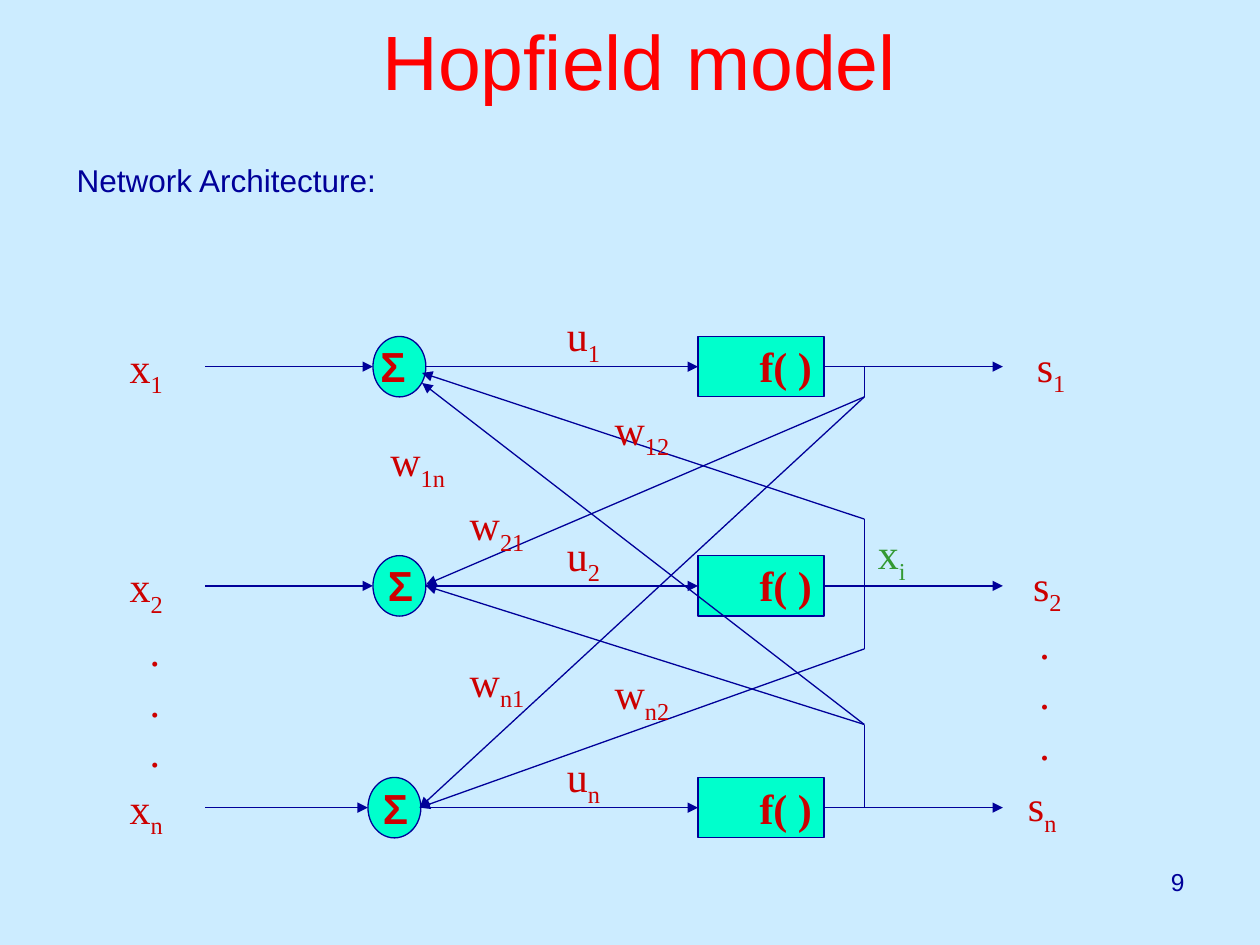
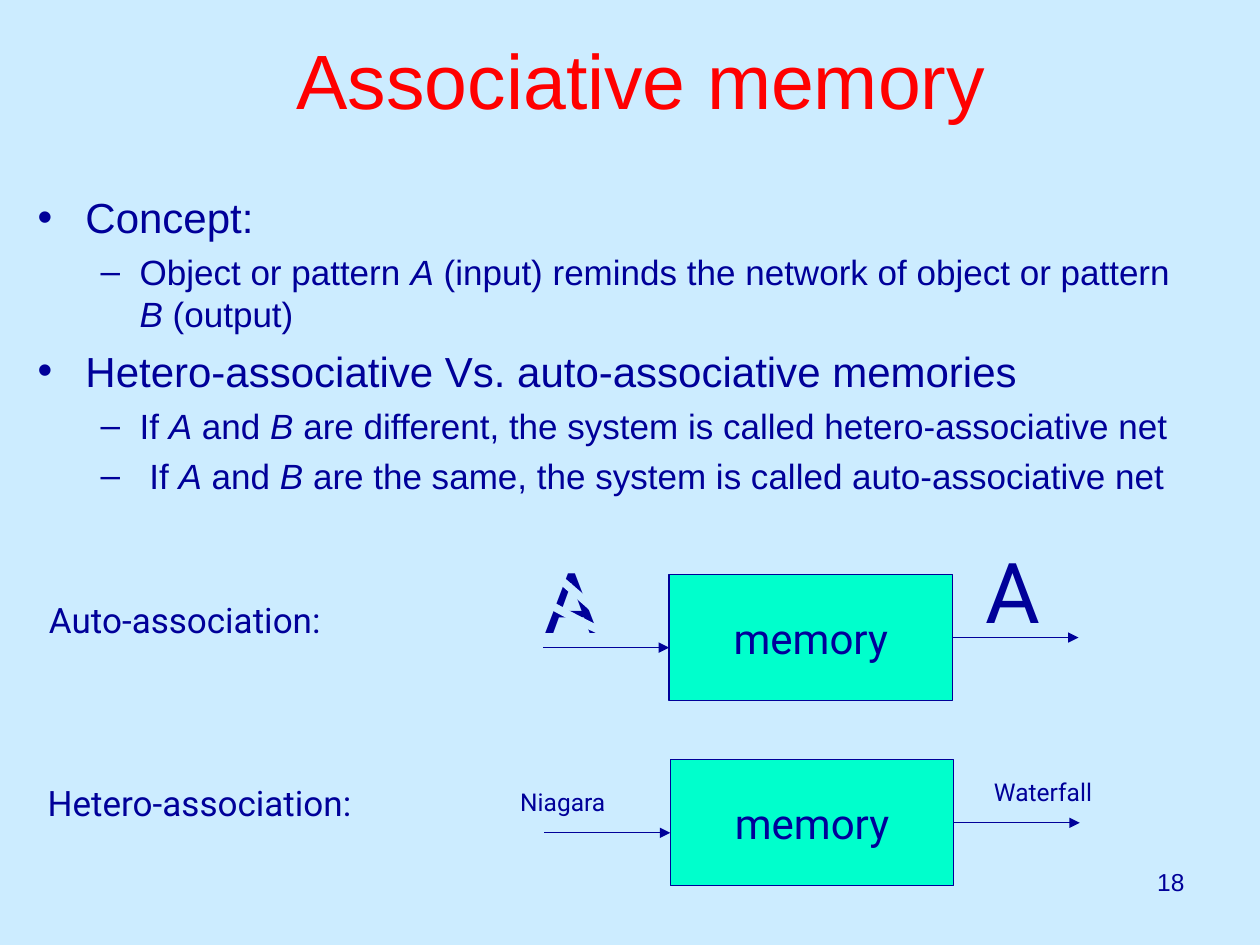
from dataclasses import dataclass

from lxml import etree
from pptx import Presentation
from pptx.dml.color import RGBColor as Rgb
from pptx.enum.shapes import MSO_CONNECTOR as Link, MSO_SHAPE as Kind
from pptx.enum.text import MSO_ANCHOR as Anchor, MSO_AUTO_SIZE as Fit, PP_ALIGN as Align
from pptx.oxml.ns import qn
from pptx.util import Inches, Pt


@dataclass(frozen=True)
class Theme:
    back: str = "CCECFF"
    ink: str = "000099"
    head: str = "FF0000"
    fill: str = "00FFCC"
    mark: str = "CC0000"
    hint: str = "339933"
    sans: str = "Arial"
    serif: str = "Times New Roman"
    round: str = "Roboto"
    title: int = 44
    huge: int = 48
    large: int = 24
    mid: int = 20
    text: int = 18
    small: int = 14
    line: float = 0.75


def color(code):
    return Rgb.from_string(code)


class Deck:
    def __init__(self, theme):
        self.theme = theme
        self.prs = Presentation()
        self.prs.slide_width, self.prs.slide_height = Inches(10), Inches(7.5)
        self.slide = None

    def page(self, title, number, box, anchor):
        """Start a slide with background, title and page number."""
        t = self.theme
        self.slide = self.prs.slides.add_slide(self.prs.slide_layouts[6])
        fill = self.slide.background.fill
        fill.solid()
        fill.fore_color.rgb = color(t.back)
        self.label(title, *box, size=t.title, tint=t.head, align=Align.CENTER,
                   anchor=anchor, wrap=True)
        self.label(number, 7.17, 6.83, 2.33, 0.52, size=t.small,
                   align=Align.RIGHT, wrap=True)

    def runs(self, para, text, size, tint=None, face=None, bold=None, sub=True):
        """Split text at bars; every second piece is a subscript or italic."""
        t = self.theme
        for i, part in enumerate(text.split("|")):
            if not part:
                continue
            run = para.add_run()
            run.text = part
            font = run.font
            font.size, font.name, font.bold = Pt(size), face or t.sans, bold
            font.color.rgb = color(tint or t.ink)
            if i % 2 and sub:
                run._r.get_or_add_rPr().set("baseline", "-25000")
            elif i % 2:
                font.italic = True

    def frame(self, shape, wrap, anchor):
        frame = shape.text_frame
        frame.word_wrap = wrap
        frame.vertical_anchor = anchor
        return frame

    def label(self, text, x, y, w, h, size, align=Align.LEFT,
              anchor=Anchor.TOP, wrap=False, **style):
        box = self.slide.shapes.add_textbox(Inches(x), Inches(y), Inches(w), Inches(h))
        frame = self.frame(box, wrap, anchor)
        frame.auto_size = Fit.NONE if wrap else Fit.SHAPE_TO_FIT_TEXT
        for i, row in enumerate(text.split("\n")):
            para = frame.add_paragraph() if i else frame.paragraphs[0]
            para.alignment = align
            self.runs(para, row, size, **style)

    def bullets(self, items, x, y, w, h):
        t = self.theme
        # size, space before, left margin, hang and sign of each level
        levels = ((t.large, 6, 0.38, 0.38, "•"), (t.mid, 5, 0.81, 0.31, "–"))
        box = self.slide.shapes.add_textbox(Inches(x), Inches(y), Inches(w), Inches(h))
        frame = self.frame(box, True, Anchor.TOP)
        for i, (level, text) in enumerate(items):
            size, gap, left, hang, sign = levels[level]
            para = frame.add_paragraph() if i else frame.paragraphs[0]
            para.level, para.space_before = level, Pt(gap)
            props = para._p.get_or_add_pPr()
            props.set("marL", str(Inches(left)))
            props.set("indent", str(-Inches(hang)))
            tone = etree.SubElement(props, qn("a:buClr"))
            etree.SubElement(tone, qn("a:srgbClr"), val=t.ink)
            etree.SubElement(props, qn("a:buFont"), typeface=t.sans)
            etree.SubElement(props, qn("a:buChar"), char=sign)
            self.runs(para, text, size, sub=False)

    def shape(self, kind, x, y, w, h, text=None):
        t = self.theme
        shape = self.slide.shapes.add_shape(kind, Inches(x), Inches(y), Inches(w), Inches(h))
        shape.shadow.inherit = False
        shape.fill.solid()
        shape.fill.fore_color.rgb = color(t.fill)
        shape.line.color.rgb = color(t.ink)
        shape.line.width = Pt(t.line)
        if text:
            para = self.frame(shape, False, Anchor.MIDDLE).paragraphs[0]
            para.alignment = Align.CENTER
            self.runs(para, text, t.large, face=t.round)
        return shape

    def line(self, start, end, arrow=True, source=None, target=None):
        """Draw a line; source is left by its right side, target met at its left."""
        t = self.theme
        link = self.slide.shapes.add_connector(
            Link.STRAIGHT, *(Inches(v) for v in (*start, *end)))
        if source:
            link.begin_connect(source, 3)
        if target:
            link.end_connect(target, 1)
        link.line.color.rgb = color(t.ink)
        link.line.width = Pt(t.line)
        if arrow:
            etree.SubElement(link.line._get_or_add_ln(), qn("a:tailEnd"), type="triangle")
        etree.SubElement(link._element.spPr, qn("a:effectLst"))

    def stroke(self, points, tint, width):
        first, *rest = [(Inches(x), Inches(y)) for x, y in points]
        form = self.slide.shapes.build_freeform(*first)
        form.add_line_segments(rest, close=False)
        shape = form.convert_to_shape()
        shape.shadow.inherit = False
        shape.fill.background()
        shape.line.color.rgb = color(tint)
        shape.line.width = Pt(width)


def curve(a, b, c, d, steps=12):
    """Points along a cubic curve."""
    for i in range(steps + 1):
        t = i / steps
        s = 1 - t
        yield tuple(s**3 * p + 3 * s * s * t * q + 3 * s * t * t * r + t**3 * v
                    for p, q, r, v in zip(a, b, c, d))


def network(deck):
    t = deck.theme
    deck.page("Hopfield model", "9", (0.35, 0.07, 9.45, 0.82), Anchor.BOTTOM)
    deck.label("Network Architecture:", 0.51, 1.23, 2.62, 0.4, size=t.text)

    # Neuron rows: index, axis height, left of the sum
    rows = (("1", 2.91, 2.96), ("2", 4.65, 2.96), ("n", 6.41, 2.92))
    for _, y, left in rows:
        deck.shape(Kind.OVAL, left, y - 0.24, 0.42, 0.48)
        box = deck.shape(Kind.RECTANGLE, 5.54, y - 0.24, 1, 0.48)
        deck.line((1.63, y), (left, y))
        deck.line((left + 0.42, y), (5.54, y), target=box)
        deck.line((6.54, y), (7.96, y), source=box)

    # Feedback: stems down the bus, then arrows back to the sums
    bus = 6.86
    for top, end in ((4.12, 5.15), (2.91, 3.15), (5.75, 6.41)):
        deck.line((bus, top), (bus, end), arrow=False)
    for y, end in ((5.15, (3.33, 6.41)), (5.75, (3.38, 4.65)), (5.75, (3.35, 3.04)),
                   (3.15, (3.38, 4.64)), (3.15, (3.33, 6.41)), (4.12, (3.35, 2.96))):
        deck.line((bus, y), end)

    # Row labels, in boxes a little wider than their text
    def sign(text, x, y, w, h=0.56, tint=t.mark, face=t.serif, bold=None):
        deck.label(text, x, y, w, h, size=t.large, tint=tint, face=face, bold=bold)

    spots = ((2.92, 2.65, 8.13, 2.65), (2.98, 4.39, 8.1, 4.39), (2.94, 6.16, 8.06, 6.14))
    for (name, y, _), (sum_x, sum_y, out_x, out_y) in zip(rows, spots):
        sign("f( )", 5.93, sum_y, 0.64, 0.5, bold=True)
        sign("Σ", sum_x, sum_y, 0.4, 0.5, face=t.sans, bold=True)
        sign(f"u|{name}", 4.4, y - 0.5, 0.48)
        sign(f"s|{name}", out_x, out_y, 0.45)
        sign(f"x|{name}", 0.93, y - 0.25, 0.48)

    # Weights, state and dots
    for name, x, y in (("12", 4.78, 3.15), ("1n", 3, 3.4), ("21", 3.63, 3.91),
                       ("n1", 3.63, 5.15), ("n2", 4.78, 5.25)):
        sign(f"w|{name}", x, y, 0.66)
    sign("x|i", 6.87, 4.14, 0.44, tint=t.hint)
    for x, y in ((1.09, 4.91), (8.15, 4.85)):
        sign(".\n.\n.", x, y, 0.3, 1.3)


def memory(deck):
    t = deck.theme
    deck.page("Associative memory", "18", (0.59, 0, 9, 1.25), Anchor.MIDDLE)
    deck.bullets((
        (0, "Concept:"),
        (1, "Object or pattern |A| (input) reminds the network of object or pattern "
            "|B| (output)"),
        (0, "Hetero-associative Vs. auto-associative memories"),
        (1, "If |A| and |B| are different, the system is called hetero-associative net"),
        (1, "| |If |A| and |B| are the same, the system is called auto-associative net"),
    ), 0.2, 1.47, 9.37, 2.76)

    # Memory boxes with input and output
    for x, y in ((5.31, 4.56), (5.32, 6.03)):
        box = deck.shape(Kind.RECTANGLE, x, y, 2.25, 1, "memory")
        deck.line((x - 1, y + 0.58), (x, y + 0.58))
        deck.line((x + 2.25, y + 0.5), (x + 3.25, y + 0.5), source=box)

    # Captions
    for text, x, y, w, h, size in (
            ("Auto-association:", 0.29, 4.7, 2.52, 0.44, t.mid),
            ("A", 4.22, 4.31, 0.62, 0.9, t.huge),
            ("A", 7.72, 4.23, 0.62, 0.9, t.huge),
            ("Hetero-association:", 0.28, 6.15, 2.8, 0.44, t.mid),
            ("Niagara", 4.03, 6.2, 0.92, 0.34, t.small),
            ("Waterfall", 7.79, 6.12, 1.03, 0.34, t.small)):
        deck.label(text, x, y, w, h, size=size, face=t.round)

    # Scratch that damages the input letter
    tip = (4.89, 5.05)
    down = curve((4.06, 4.63), (4.45, 4.85), (4.84, 5.06), tip)
    back = curve(tip, (4.95, 5.03), (4.67, 4.79), (4.39, 4.55))
    deck.stroke([*down, *list(back)[1:]], t.back, 4.5)


def main():
    deck = Deck(Theme())
    network(deck)
    memory(deck)
    deck.prs.save("out.pptx")


if __name__ == "__main__":
    main()
